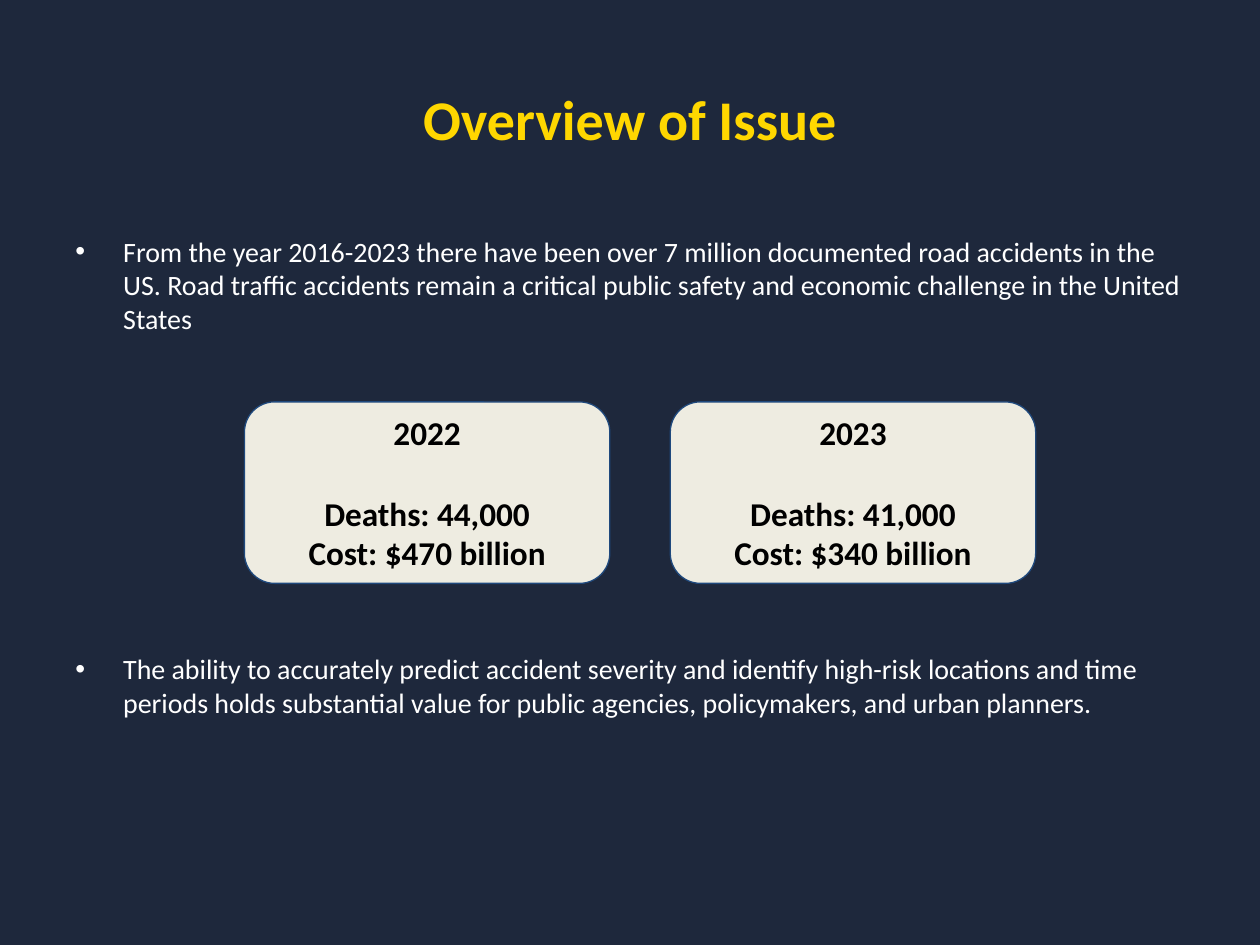
from dataclasses import dataclass

from lxml.etree import SubElement
from pptx import Presentation
from pptx.dml.color import RGBColor
from pptx.enum.shapes import MSO_SHAPE as Shape
from pptx.enum.text import MSO_ANCHOR as Anchor, PP_ALIGN as Align
from pptx.oxml.ns import qn
from pptx.util import Inches, Pt

WIDTH, HEIGHT = 10, 7.5


def color(value):
    """Turn a hex string into a colour."""
    return RGBColor.from_string(value)


def add_bullet(paragraph, indent, tint):
    """Give a paragraph a hanging round bullet."""
    properties = paragraph._p.get_or_add_pPr()
    properties.set("marL", str(Inches(indent)))
    properties.set("indent", str(-Inches(indent)))
    bullet_color = SubElement(properties, qn("a:buClr"))
    SubElement(bullet_color, qn("a:srgbClr")).set("val", tint)
    SubElement(properties, qn("a:buFont")).set("typeface", "Arial")
    SubElement(properties, qn("a:buChar")).set("char", "•")


def write(frame, lines, size, tint, font="Calibri", bold=False, align=Align.LEFT,
          anchor=Anchor.TOP, bullet=None, gap=0, margin=0.05):
    """Fill a text frame, with a gap in points between the first line and the second."""
    frame.word_wrap = True
    frame.vertical_anchor = anchor
    frame.margin_left = frame.margin_right = Inches(0.1)
    frame.margin_top = frame.margin_bottom = Inches(margin)
    for index, line in enumerate(lines):
        paragraph = frame.add_paragraph() if index else frame.paragraphs[0]
        paragraph.alignment = align
        if index == 1:
            paragraph.space_before = Pt(gap)
        if bullet:
            add_bullet(paragraph, bullet, tint)
        run = paragraph.add_run()
        run.text = line
        run.font.name, run.font.size, run.font.bold = font, Pt(size), bold
        run.font.color.rgb = color(tint)


def box(left, top, width, height):
    """Convert shares of the slide's size to lengths."""
    return (Inches(left * WIDTH), Inches(top * HEIGHT),
            Inches(width * WIDTH), Inches(height * HEIGHT))


@dataclass
class Deck:
    """Hold the style and the current slide."""
    slide: object
    background: str = "1E283C"
    accent: str = "FFD700"
    body: str = "FFFFFF"
    card_fill: str = "EEECE1"
    card_line: str = "1F497D"
    card_text: str = "000000"

    def paint(self):
        """Fill the slide background."""
        fill = self.slide.background.fill
        fill.solid()
        fill.fore_color.rgb = color(self.background)

    def title(self, text, place):
        """Add the centred heading."""
        shape = self.slide.shapes.add_textbox(*box(*place))
        write(shape.text_frame, [text], 32, self.accent, bold=True,
              align=Align.CENTER, anchor=Anchor.MIDDLE)

    def bullets(self, lines, place, gap):
        """Add the bulleted text."""
        shape = self.slide.shapes.add_textbox(*box(*place))
        write(shape.text_frame, lines, 16, self.body, bullet=0.38, gap=gap)

    def card(self, lines, place):
        """Add a rounded card of yearly figures."""
        shape = self.slide.shapes.add_shape(Shape.ROUNDED_RECTANGLE, *box(*place))
        shape.shadow.inherit = False
        shape.fill.solid()
        shape.fill.fore_color.rgb = color(self.card_fill)
        shape.line.color.rgb = color(self.card_line)
        shape.line.width = Pt(0.75)
        write(shape.text_frame, lines, 19, self.card_text, bold=True,
              align=Align.CENTER, anchor=Anchor.MIDDLE, gap=23, margin=0.1)


def main():
    """Build the overview slide."""
    presentation = Presentation()
    presentation.slide_width, presentation.slide_height = Inches(WIDTH), Inches(HEIGHT)
    deck = Deck(presentation.slides.add_slide(presentation.slide_layouts[6]))
    deck.paint()
    deck.title("Overview of Issue", (0.05, 0.04, 0.9, 0.17))
    deck.bullets([
        "From the year 2016-2023 there have been over 7 million documented road accidents "
        "in the US. Road traffic accidents remain a critical public safety and economic "
        "challenge in the United States",
        "The ability to accurately predict accident severity and identify high-risk "
        "locations and time periods holds substantial value for public agencies, "
        "policymakers, and urban planners.",
    ], (0.05, 1.81 / HEIGHT, 0.9, 0.66), gap=181)

    figures = [("2022", "44,000", "470"), ("2023", "41,000", "340")]
    card_left, card_width, card_gap = 0.194, 0.29, 0.048
    for column, (year, deaths, cost) in enumerate(figures):
        left = card_left + column * (card_width + card_gap)
        deck.card([year, f"Deaths: {deaths}", f"Cost: ${cost} billion"],
                  (left, 3.19 / HEIGHT, card_width, 1.44 / HEIGHT))
    presentation.save("out.pptx")


if __name__ == "__main__":
    main()
